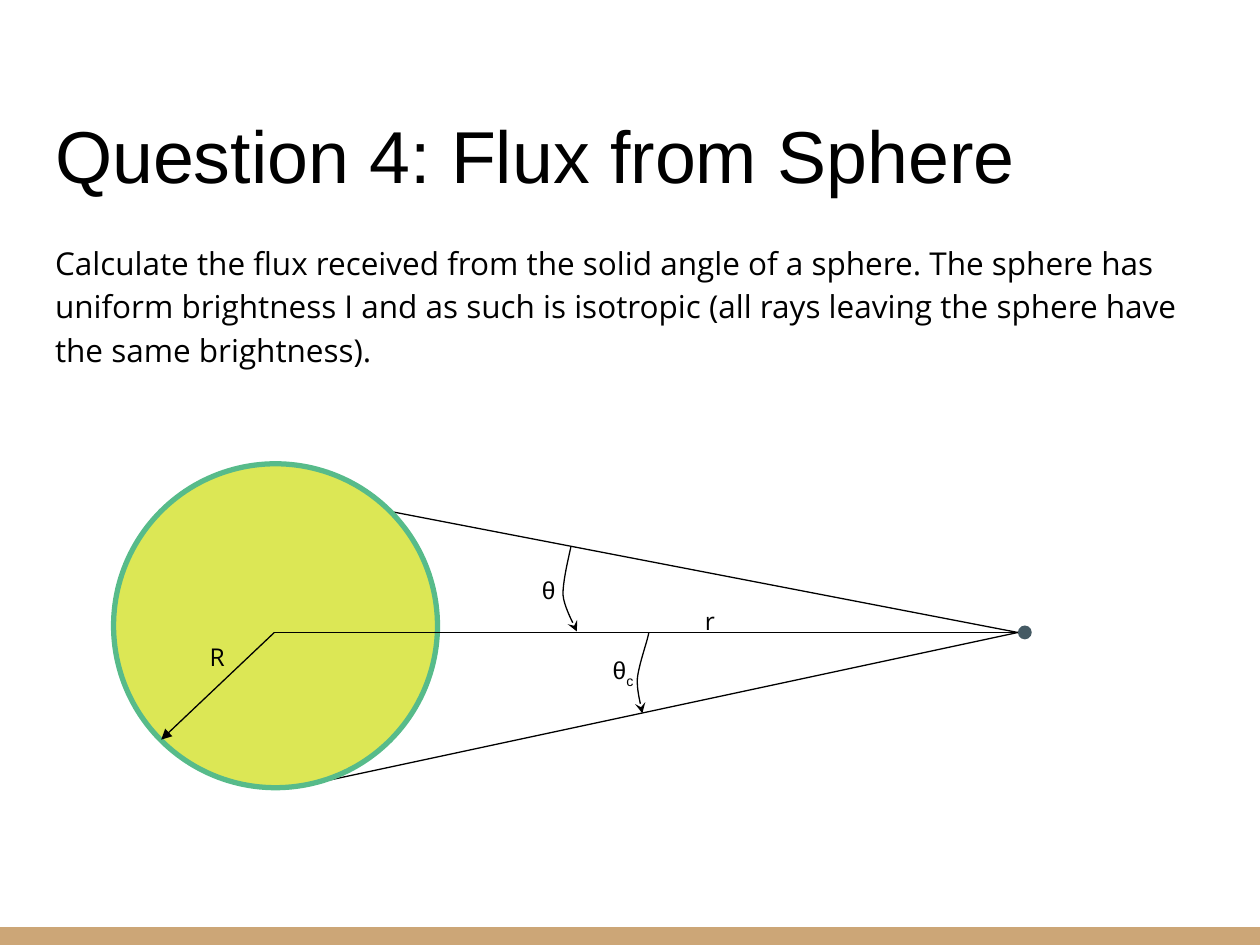
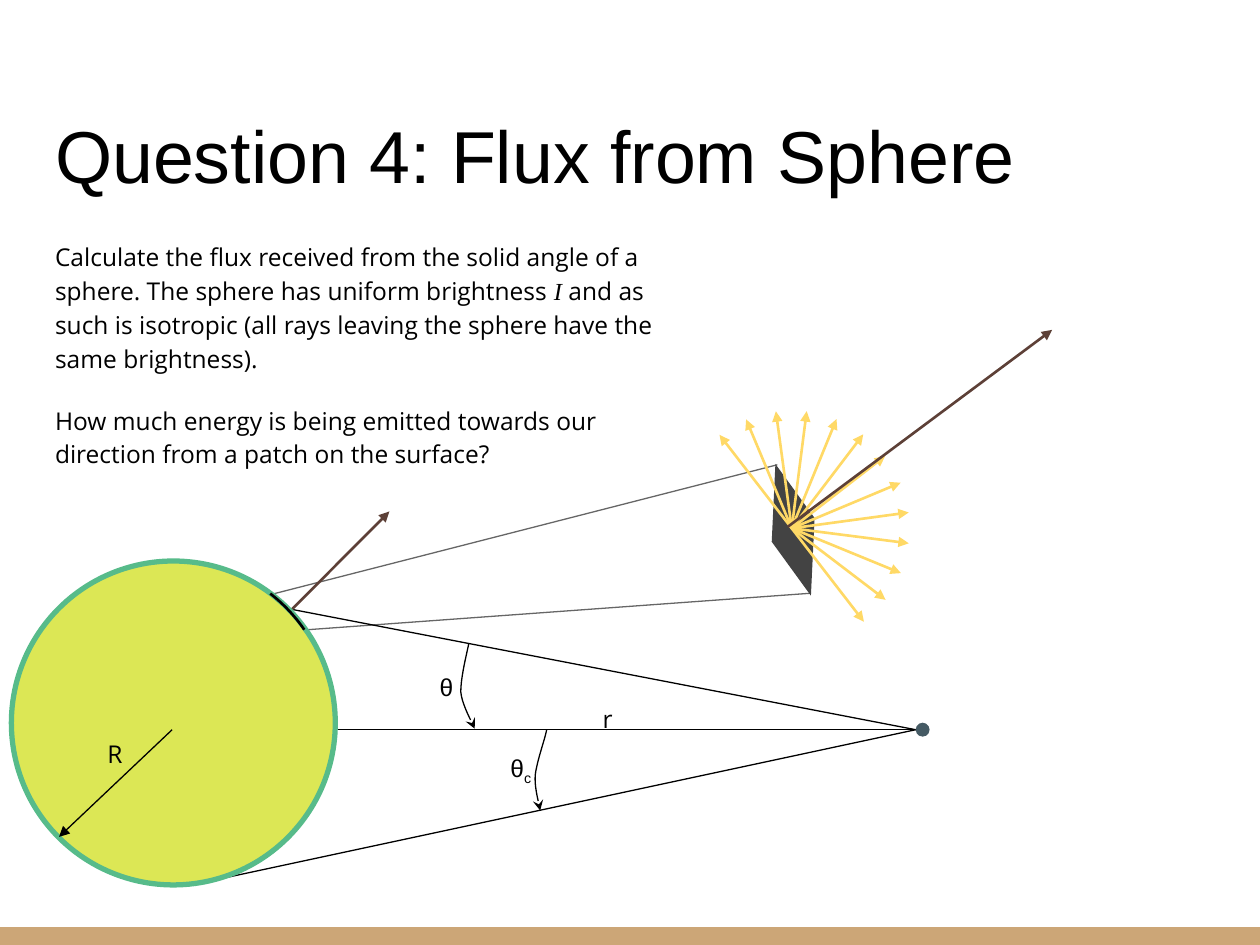
from dataclasses import dataclass
from math import cos, radians, sin

from lxml.etree import SubElement
from pptx import Presentation
from pptx.dml.color import RGBColor
from pptx.enum.shapes import MSO_CONNECTOR, MSO_SHAPE
from pptx.enum.text import MSO_ANCHOR, MSO_AUTO_SIZE, PP_ALIGN
from pptx.oxml.ns import qn
from pptx.util import Cm, Pt


@dataclass(frozen=True)
class Theme:
    ink: str = "000000"
    band: str = "CCA677"
    sphere: str = "DCE755"
    sphere_edge: str = "57BB8A"
    observer: str = "455A64"
    normal: str = "5D4037"
    patch: str = "434343"
    zoom: str = "666666"
    emission: str = "FFD966"
    heading_font: str = "Arial"
    body_font: str = "Open Sans"
    math_font: str = "Times New Roman"
    title_size: float = 42
    intro_size: float = 18
    body_size: float = 14
    thin: float = 0.75
    medium: float = 1.5
    thick: float = 3


THEME = Theme()
TITLE = "Question 4: Flux from Sphere"
INTRO = "Calculate the flux received from the solid angle of a sphere. The sphere has uniform brightness "
ISOTROPY = " and as such is isotropic (all rays leaving the sphere have the same brightness)."
PATCH_QUESTION = "How much energy is being emitted towards our direction from a patch on the surface?"

DIAMETER = 6.53
SPHERE_CORNER = (2.29, 9.35)
CENTRE = (5.53, 12.75)
OBSERVER = (20.52, 12.75)
OBSERVER_DIAMETER = 0.28
UPPER_TANGENT = (7.87, 10.31)
LOWER_TANGENT = (6.2, 15.82)
RADIUS_END = (3.25, 14.91)
THETA_CURVE = [(11.51, 11.02), (11.48, 11.18), (11.35, 11.68), (11.35, 11.99),
               (11.38, 12.27), (11.58, 12.6), (11.63, 12.73)]
THETA_C_CURVE = [(13.08, 12.75), (13.06, 12.9), (12.88, 13.39), (12.85, 13.67),
                 (12.83, 13.92), (12.93, 14.25), (12.95, 14.38)]
SYMBOLS = [
    ((11.06, 11.88), THEME.heading_font, [("θ", {})]),
    ((12.56, 13.55), THEME.heading_font, [("θ", {}), ("c", {"baseline": -25000})]),
    ((4.38, 13.23), THEME.body_font, [("R", {})]),
    ((14.31, 12.52), THEME.body_font, [("r", {})]),
]


def rgb(code):
    return RGBColor.from_string(code)


def style_run(run, size, font, color, italic=False, baseline=None):
    run.font.size = Pt(size)
    run.font.name = font
    run.font.color.rgb = rgb(color)
    run.font.italic = italic
    if baseline:
        run._r.get_or_add_rPr().set("baseline", str(baseline))


def write_text(frame, paragraphs, *, size=THEME.body_size, font=THEME.body_font,
               color=THEME.ink, align=PP_ALIGN.LEFT, anchor=MSO_ANCHOR.TOP,
               line_spacing=None, gap=0):
    frame.word_wrap = True
    frame.auto_size = MSO_AUTO_SIZE.NONE
    frame.vertical_anchor = anchor
    frame.margin_left = frame.margin_right = frame.margin_top = frame.margin_bottom = Cm(0.25)
    for index, runs in enumerate(paragraphs):
        paragraph = frame.add_paragraph() if index else frame.paragraphs[0]
        paragraph.alignment = align
        paragraph.line_spacing = line_spacing
        paragraph.space_before = Pt(gap if index else 0)
        for text, changes in runs:
            run = paragraph.add_run()
            run.text = text
            style_run(run, **{"size": size, "font": font, "color": color, **changes})


def add_text(slide, left, top, width, height, paragraphs, **text_format):
    box = slide.shapes.add_textbox(Cm(left), Cm(top), Cm(width), Cm(height))
    write_text(box.text_frame, paragraphs, **text_format)


def style_line(line, color, width):
    line.fill.solid()
    line.color.rgb = rgb(color)
    line.width = Pt(width)


def add_arrowhead(item, kind):
    outline = item.element.find(qn("p:spPr")).find(qn("a:ln"))
    SubElement(outline, qn("a:tailEnd"), type=kind)


def add_line(slide, start, end, color=THEME.ink, width=THEME.thin, head=None):
    line = slide.shapes.add_connector(MSO_CONNECTOR.STRAIGHT, *map(Cm, start + end))
    style_line(line.line, color, width)
    if head:
        add_arrowhead(line, head)
    SubElement(line.element.find(qn("p:spPr")), qn("a:effectLst"))


def add_figure(slide, preset, left, top, width, height, fill=None, edge=None, edge_width=0):
    figure = slide.shapes.add_shape(preset, Cm(left), Cm(top), Cm(width), Cm(height))
    figure.shadow.inherit = False
    if fill:
        figure.fill.solid()
        figure.fill.fore_color.rgb = rgb(fill)
    else:
        figure.fill.background()
    if edge:
        style_line(figure.line, edge, edge_width)
    else:
        figure.line.fill.background()
    return figure


def bezier(p0, p1, p2, p3, steps=10):
    for step in range(1, steps + 1):
        t = step / steps
        weights = ((1 - t) ** 3, 3 * t * (1 - t) ** 2, 3 * t * t * (1 - t), t ** 3)
        yield tuple(sum(w * p[axis] for w, p in zip(weights, (p0, p1, p2, p3)))
                    for axis in (0, 1))


def add_curved_arrow(slide, controls):
    points = [point for first in range(0, len(controls) - 1, 3)
              for point in bezier(*controls[first:first + 4])]
    builder = slide.shapes.build_freeform(*map(Cm, controls[0]))
    builder.add_line_segments([(Cm(x), Cm(y)) for x, y in points], close=False)
    curve = builder.convert_to_shape()
    curve.shadow.inherit = False
    curve.fill.background()
    style_line(curve.line, THEME.ink, THEME.thin)
    add_arrowhead(curve, "stealth")


def start_slide(deck):
    slide = deck.slides.add_slide(deck.slide_layouts[5])
    add_figure(slide, MSO_SHAPE.RECTANGLE, 0, 18.69, 25.4, 0.36, THEME.band)
    title = slide.shapes.title
    title.left, title.top, title.width, title.height = map(Cm, (0.86, 1.17, 23.67, 3.07))
    write_text(title.text_frame, [[(TITLE, {})]], size=THEME.title_size,
               font=THEME.heading_font, anchor=MSO_ANCHOR.BOTTOM)
    return slide


def draw_flux_geometry(slide, offset=(0, 0), axis_in_front=True, normal_tip=None):
    def place(point):
        return point[0] + offset[0], point[1] + offset[1]

    centre, observer = place(CENTRE), place(OBSERVER)
    for tangent in (UPPER_TANGENT, LOWER_TANGENT):
        add_line(slide, place(tangent), observer)
    if not axis_in_front:
        add_line(slide, centre, observer)
    if normal_tip:
        add_line(slide, centre, normal_tip, THEME.normal, THEME.medium, "triangle")
    add_figure(slide, MSO_SHAPE.OVAL, observer[0], observer[1] - OBSERVER_DIAMETER / 2,
               OBSERVER_DIAMETER, OBSERVER_DIAMETER, THEME.observer)
    add_figure(slide, MSO_SHAPE.OVAL, *place(SPHERE_CORNER), DIAMETER, DIAMETER,
               THEME.sphere, THEME.sphere_edge, THEME.thick)
    for curve in (THETA_CURVE, THETA_C_CURVE):
        add_curved_arrow(slide, [place(point) for point in curve])
    add_line(slide, centre, place(RADIUS_END), head="triangle")
    if axis_in_front:
        add_line(slide, centre, observer)
    width, height = 1.04, 0.7
    for middle, font, runs in SYMBOLS:
        x, y = place(middle)
        add_text(slide, x - width / 2, y - height / 2, width, height, [runs], font=font,
                 align=PP_ALIGN.CENTER, anchor=MSO_ANCHOR.MIDDLE)


def draw_emitting_patch(slide):
    patch = add_figure(slide, MSO_SHAPE.PARALLELOGRAM, 14.68, 10.26, 2.62, 0.84, THEME.patch)
    patch.adjustments[0] = 1.25
    patch.rotation = 272.7
    x, y = 15.96, 10.65
    ray_length, first_angle, ray_count = 2.38, -127.7, 13
    for index in range(ray_count):
        angle = radians(first_angle + index * 180 / (ray_count - 1))
        tip = (x + ray_length * cos(angle), y + ray_length * sin(angle))
        add_line(slide, (x, y), tip, THEME.emission, THEME.medium, "triangle")
    add_line(slide, (15.88, 10.62), (21.21, 6.65), THEME.normal, THEME.medium, "triangle")


def build_problem_slide(deck):
    slide = start_slide(deck)
    add_text(slide, 0.86, 4.55, 23.67, 3.99, [[(INTRO + "I" + ISOTROPY, {})]],
             size=THEME.intro_size, line_spacing=1.15)
    draw_flux_geometry(slide)


def build_patch_slide(deck):
    slide = start_slide(deck)
    brightness = ("I", {"font": THEME.math_font, "italic": True})
    add_text(slide, 0.86, 4.55, 13.46, 5.23,
             [[(INTRO, {}), brightness, (ISOTROPY, {})], [(PATCH_QUESTION, {})]],
             line_spacing=1.15, gap=16)
    add_line(slide, (6.12, 12.7), (16.33, 11.96), THEME.zoom)
    add_line(slide, (5.44, 11.99), (15.67, 9.37), THEME.zoom)
    draw_flux_geometry(slide, (-2.06, 1.96), axis_in_front=False, normal_tip=(7.85, 10.31))
    draw_emitting_patch(slide)
    surface_patch = add_figure(slide, MSO_SHAPE.ARC, 0.18, 11.28, DIAMETER, DIAMETER,
                               edge=THEME.ink, edge_width=THEME.medium)
    surface_patch.adjustments[0] = 184.72
    surface_patch.adjustments[1] = 195.28


def main():
    deck = Presentation()
    deck.slide_width, deck.slide_height = Cm(25.4), Cm(19.05)
    build_problem_slide(deck)
    build_patch_slide(deck)
    deck.save("out.pptx")


if __name__ == "__main__":
    main()
